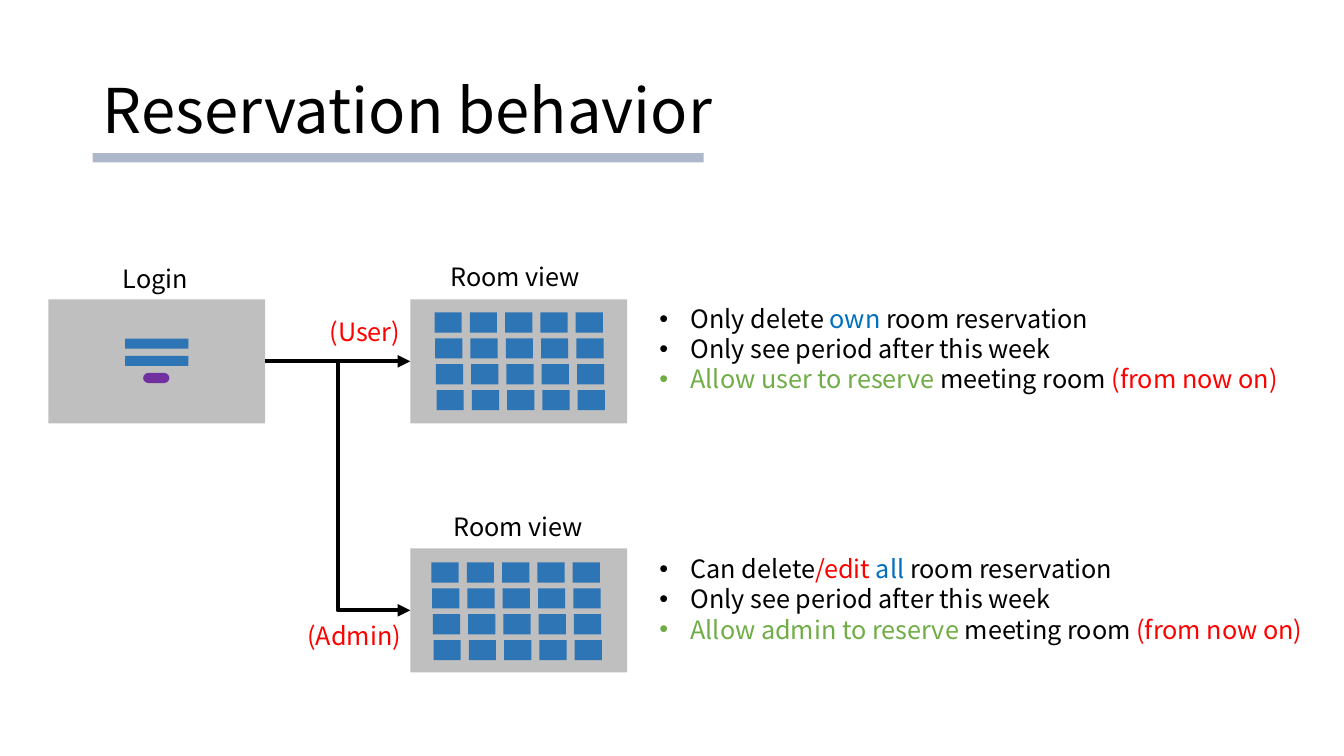
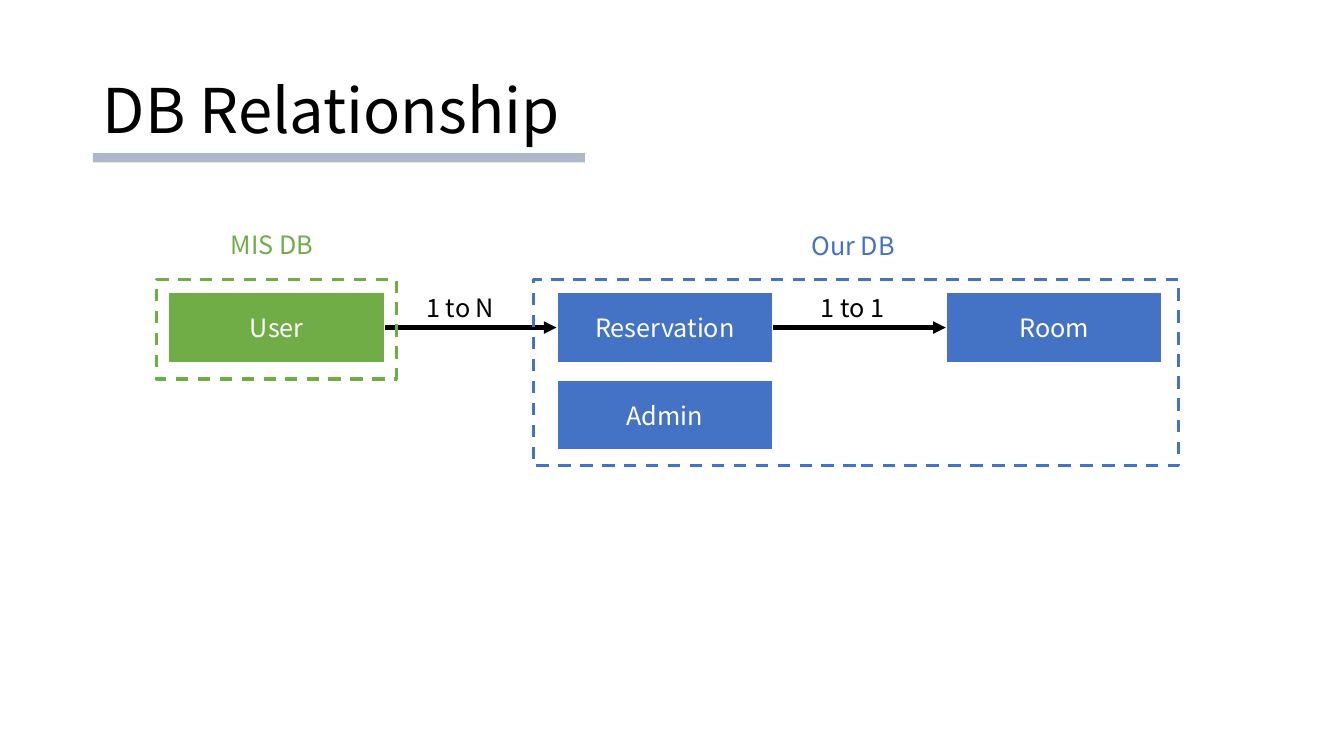
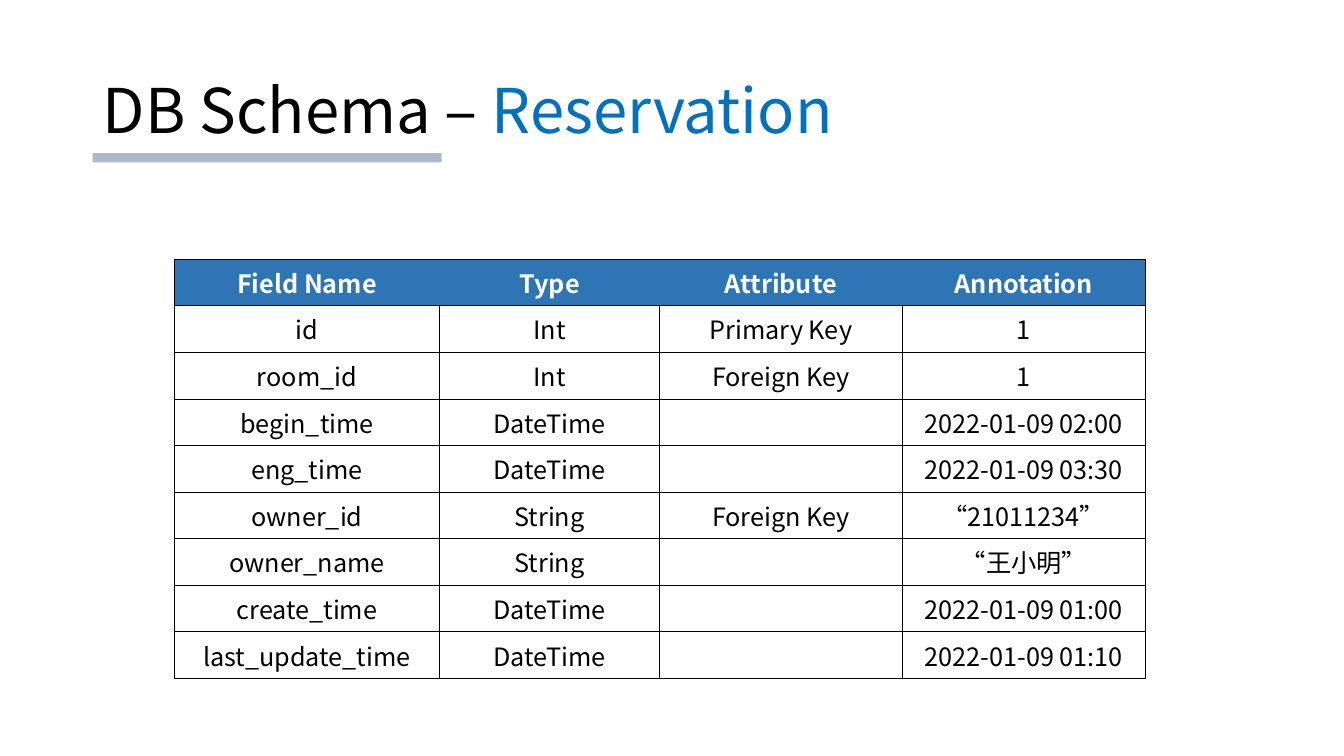
from pptx import Presentation
from pptx.dml.color import RGBColor
from pptx.enum.dml import MSO_LINE
from pptx.enum.shapes import MSO_CONNECTOR, MSO_SHAPE
from pptx.enum.text import MSO_ANCHOR, MSO_AUTO_SIZE, PP_ALIGN
from pptx.oxml.ns import qn
from pptx.util import Inches, Pt
from lxml import etree

RECT, ROUNDED = MSO_SHAPE.RECTANGLE, MSO_SHAPE.ROUNDED_RECTANGLE
STRAIGHT, ELBOW = MSO_CONNECTOR.STRAIGHT, MSO_CONNECTOR.ELBOW
LEFT, CENTER = PP_ALIGN.LEFT, PP_ALIGN.CENTER
MIDDLE = MSO_ANCHOR.MIDDLE
GROW = MSO_AUTO_SIZE.SHAPE_TO_FIT_TEXT
DASH = MSO_LINE.DASH
LEFT_SITE, RIGHT_SITE = 1, 3  # connection sites of a rectangle

FONT = "Noto Sans CJK SC"
TITLE_ONLY = 5
COLORS = {
    "black": "000000", "white": "FFFFFF", "red": "FF0000", "green": "70AD47",
    "blue": "4472C4", "accent": "0070C0", "panel": "BFBFBF",
    "tile": "2E75B6", "purple": "7030A0", "rule": "ADB9CA",
}
SCREEN_W, SCREEN_H = 2.15, 1.23
ENTITY_W, ENTITY_H = 2.15, 0.7


def rgb(name):
    """Return the named colour."""
    return RGBColor.from_string(COLORS[name])


def inches(box):
    """Turn a (left, top, width, height) box into lengths."""
    return [Inches(v) for v in box]


def write(p, parts, size=18, color="black", bold=False):
    """Fill a paragraph from a string or a list of (text, colour) parts."""
    for text, tint in [(parts, color)] if isinstance(parts, str) else parts:
        r = p.add_run()
        r.text = text
        r.font.name, r.font.size, r.font.bold = FONT, Pt(size), bold
        r.font.color.rgb = rgb(tint)
        etree.SubElement(r.font._element, qn("a:ea"), typeface=FONT)


def add_title_slide(prs, parts, rule_width):
    """Add a slide with its title and the rule under it."""
    slide = prs.slides.add_slide(prs.slide_layouts[TITLE_ONLY])
    title = slide.shapes.title
    title.left, title.top, title.width, title.height = inches((0.92, 0.4, 11.5, 1.45))
    tf = title.text_frame
    tf.vertical_anchor = MIDDLE
    p = tf.paragraphs[0]
    p.alignment, p.line_spacing = LEFT, 0.9
    write(p, parts, 44)
    add_block(slide.shapes, (0.92, 1.52, rule_width, 0.09), "rule")
    return slide


def add_block(shapes, box, fill=None, line=None, width=1.5, kind=RECT):
    """Add a plain shape, filled, outlined or both."""
    sp = shapes.add_shape(kind, *inches(box))
    sp.shadow.inherit = False
    if fill:
        sp.fill.solid()
        sp.fill.fore_color.rgb = rgb(fill)
    else:
        sp.fill.background()
    if line:
        sp.line.color.rgb = rgb(line)
        sp.line.width = Pt(width)
    else:
        sp.line.fill.background()
    return sp


def add_label(slide, box, text, color="black"):
    """Add a one-line text box."""
    tf = slide.shapes.add_textbox(*inches(box)).text_frame
    tf.word_wrap, tf.auto_size = False, GROW
    write(tf.paragraphs[0], text, color=color)


def add_bullets(slide, box, items):
    """Add a bulleted list whose bullets take the colour of their text."""
    tf = slide.shapes.add_textbox(*inches(box)).text_frame
    tf.word_wrap, tf.auto_size = False, GROW
    for i, parts in enumerate(items):
        p = tf.paragraphs[0] if i == 0 else tf.add_paragraph()
        write(p, parts)
        pPr = p._p.get_or_add_pPr()
        pPr.set("marL", str(Inches(0.31)))
        pPr.set("indent", str(-Inches(0.31)))
        etree.SubElement(pPr, qn("a:buFont"), typeface="Arial")
        etree.SubElement(pPr, qn("a:buChar"), char="\u2022")


def add_arrow(slide, start, end, kind=STRAIGHT):
    """Join the right side of one shape to the left side of another."""
    cx = slide.shapes.add_connector(kind, 0, 0, 0, 0)
    cx.begin_connect(start, RIGHT_SITE)
    cx.end_connect(end, LEFT_SITE)
    cx.line.color.rgb = rgb("black")
    cx.line.width = Pt(3)
    etree.SubElement(cx.line._get_or_add_ln(), qn("a:tailEnd"), type="triangle")
    etree.SubElement(cx._element.spPr, qn("a:effectLst"))


def add_login_form(slide, left, top):
    """Draw two input fields and a button."""
    shapes = slide.shapes.add_group_shape().shapes
    for i in range(2):
        add_block(shapes, (left, top + 0.17 * i, 0.63, 0.1), "tile")
    button = add_block(shapes, (left + 0.18, top + 0.34, 0.26, 0.1), "purple", kind=ROUNDED)
    button.adjustments[0] = 0.5


def add_room_grid(slide, left, top):
    """Draw four rows of five rooms, each row slightly right of the last."""
    shapes = slide.shapes.add_group_shape().shapes
    for row in range(4):
        for col in range(5):
            x = left + 0.35 * col + 0.02 * row / 3
            add_block(shapes, (x, top + 0.77 * row / 3, 0.27, 0.2), "tile")


def build_behavior(prs):
    """Slide: what users and admins may do after login."""
    slide = add_title_slide(prs, "Reservation behavior", 6.06)
    login, user, admin = [
        add_block(slide.shapes, (x, y, SCREEN_W, SCREEN_H), "panel")
        for x, y in [(0.48, 2.97), (4.07, 2.97), (4.07, 5.44)]]
    add_arrow(slide, login, user)
    add_arrow(slide, login, admin, ELBOW)
    add_login_form(slide, 1.24, 3.36)
    add_room_grid(slide, 4.31, 3.1)
    add_room_grid(slide, 4.28, 5.58)

    for box, text, color in [
        ((1.12, 2.56, 0.88, 0.4), "Login", "black"),
        ((4.37, 2.54, 1.54, 0.4), "Room view", "black"),
        ((4.4, 5.02, 1.54, 0.4), "Room view", "black"),
        ((3.17, 3.09, 0.92, 0.4), "(User)", "red"),
        ((2.95, 6.1, 1.17, 0.4), "(Admin)", "red"),
    ]:
        add_label(slide, box, text, color)

    user_rights = [("Only delete ", "black"), ("own", "accent")]
    admin_rights = [("Can delete", "black"), ("/edit ", "red"), ("all", "accent")]
    for top, role, rights in [(2.96, "user", user_rights), (5.44, "admin", admin_rights)]:
        add_bullets(slide, (6.44, top, 6.68, 1.01), [
            rights + [(" room reservation", "black")],
            "Only see period after this week",
            [(f"Allow {role} to reserve", "green"), (" meeting room ", "black"),
             ("(from now on)", "red")],
        ])


def add_entity(slide, left, top, name, fill):
    """Add a named database table."""
    sp = add_block(slide.shapes, (left, top, ENTITY_W, ENTITY_H), fill, "white")
    p = sp.text_frame.paragraphs[0]
    p.alignment = CENTER
    write(p, name, color="white")
    return sp


def build_relationship(prs):
    """Slide: the entities of both databases and their relations."""
    slide = add_title_slide(prs, "DB Relationship", 4.88)
    user = add_entity(slide, 1.67, 2.9, "User", "green")
    reservation = add_entity(slide, 5.52, 2.9, "Reservation", "blue")
    room = add_entity(slide, 9.38, 2.9, "Room", "blue")
    add_entity(slide, 5.52, 3.77, "Admin", "blue")
    add_arrow(slide, user, reservation)
    add_arrow(slide, reservation, room)
    add_label(slide, (4.13, 2.85, 0.96, 0.4), "1 to N")
    add_label(slide, (8.04, 2.85, 0.9, 0.4), "1 to 1")
    for frame, label, name, color in [
        ((1.55, 2.77, 2.38, 0.99), (2.19, 2.23, 1.09, 0.4), "MIS DB", "green"),
        ((5.29, 2.77, 6.4, 1.85), (7.95, 2.24, 1.09, 0.4), "Our DB", "blue"),
    ]:
        add_block(slide.shapes, frame, line=color, width=2.25).line.dash_style = DASH
        add_label(slide, label, name, color)


def set_borders(cell, widths):
    """Draw black cell borders from a side-to-points dict; 0 hides a side."""
    tcPr = cell._tc.get_or_add_tcPr()
    for side in "LRTB":
        ln = etree.SubElement(tcPr, qn(f"a:ln{side}"), w=str(Pt(widths[side])))
        if widths[side]:
            fill = etree.SubElement(ln, qn("a:solidFill"))
            etree.SubElement(fill, qn("a:srgbClr"), val=COLORS["black"])
        else:
            etree.SubElement(ln, qn("a:noFill"))


def add_schema_table(slide, box, col_widths, rows):
    """Add a bordered table whose first row is the header."""
    frame = slide.shapes.add_table(len(rows), len(col_widths), *inches(box))
    table = frame.table
    table.horz_banding = False
    for column, width in zip(table.columns, col_widths):
        column.width = Inches(width)
    last = len(col_widths) - 1
    for i, values in enumerate(rows):
        header = i == 0
        table.rows[i].height = Inches(box[3] / len(rows))
        for j, value in enumerate(values):
            cell = table.cell(i, j)
            set_borders(cell, {
                "L": 0 if header and j > 0 else 1,
                "R": 0 if header and j < last else 1,
                "T": 1 if i == 1 else 0.5,
                "B": 1 if header or i == len(rows) - 1 else 0.5,
            })
            if header:
                cell.fill.solid()
                cell.fill.fore_color.rgb = rgb("tile")
            else:
                cell.fill.background()
            p = cell.text_frame.paragraphs[0]
            p.alignment = CENTER
            if value:
                write(p, value, color="white" if header else "black", bold=header)


def build_schema(prs):
    """Slide: the fields of the reservation table."""
    slide = add_title_slide(
        prs, [("DB Schema \u2013 ", "black"), ("Reservation", "accent")], 3.46)
    add_schema_table(slide, (1.73, 2.57, 9.63, 3.65), (2.63, 2.18, 2.41, 2.41), [
        ("Field Name", "Type", "Attribute", "Annotation"),
        ("id", "Int", "Primary Key", "1"),
        ("room_id", "Int", "Foreign Key", "1"),
        ("begin_time", "DateTime", "", "2022-01-09 02:00"),
        ("eng_time", "DateTime", "", "2022-01-09 03:30"),
        ("owner_id", "String", "Foreign Key", "\u201c21011234\u201d"),
        ("owner_name", "String", "", "\u201c王小明\u201d"),
        ("create_time", "DateTime", "", "2022-01-09 01:00"),
        ("last_update_time", "DateTime", "", "2022-01-09 01:10"),
    ])


def main():
    """Build and save the presentation."""
    prs = Presentation()
    prs.slide_width, prs.slide_height = Inches(13.33), Inches(7.5)
    build_behavior(prs)
    build_relationship(prs)
    build_schema(prs)
    prs.save("out.pptx")


main()
